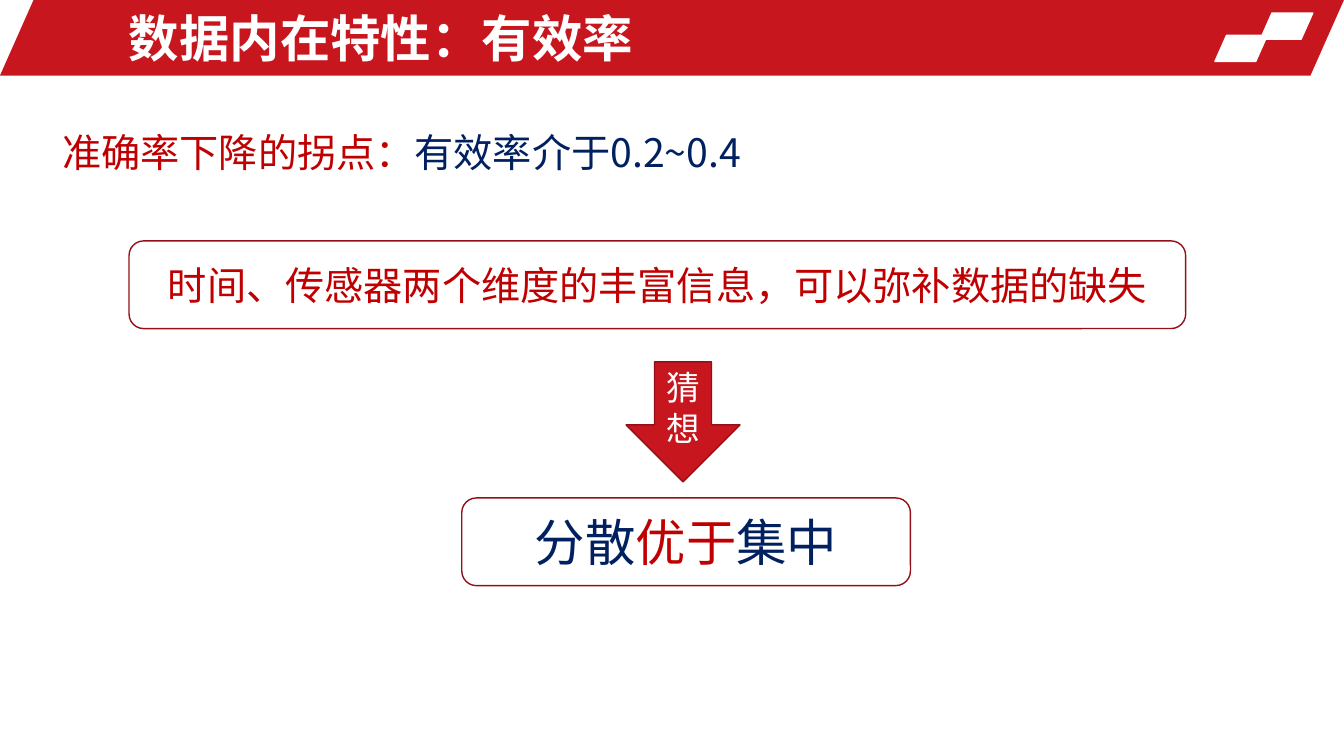
from lxml import etree
from pptx import Presentation
from pptx.dml.color import RGBColor
from pptx.enum.shapes import MSO_SHAPE as Preset
from pptx.enum.text import MSO_ANCHOR as Anchor, PP_ALIGN as Align
from pptx.oxml.ns import qn
from pptx.util import Inches, Pt

COLORS = {
    "red": "C8161E",
    "border": "941016",
    "crimson": "C00000",
    "navy": "002060",
    "white": "FFFFFF",
}
FONT = "Noto Sans CJK SC"


def add_preset(preset, box, fill=None, line=None):
    shape = slide.shapes.add_shape(preset, *map(Inches, box))
    shape.shadow.inherit = False
    for part, color in ((shape.fill, fill), (shape.line.fill, line)):
        if color:
            part.solid()
            part.fore_color.rgb = RGBColor.from_string(COLORS[color])
        else:
            part.background()
    if line:
        shape.line.width = Pt(1)
    return shape


def write_text(shape, runs, size, frame_format, paragraph_format, bold=False):
    frame = shape.text_frame
    paragraph = frame.paragraphs[0]
    for target, values in ((frame, frame_format), (paragraph, paragraph_format)):
        for name, value in values.items():
            setattr(target, name, value)
    for text, color in runs:
        run = paragraph.add_run()
        run.text = text
        run.font.color.rgb = RGBColor.from_string(COLORS[color])
        for name, value in {"size": Pt(size), "name": FONT, "bold": bold}.items():
            setattr(run.font, name, value)
        properties = run.font._element if hasattr(run.font, "_element") else run._r.get_or_add_rPr()
        etree.SubElement(properties, qn("a:ea"), typeface=FONT)


presentation = Presentation()
presentation.slide_width = Inches(13.33)
presentation.slide_height = Inches(7.5)
slide = presentation.slides.add_slide(presentation.slide_layouts[6])

for box, fill, line in (
    ((0, 0, 13.33, 0.75), "red", None),
    ((12.5, 0.13, 0.52, 0.26), "white", "white"),
    ((12.05, 0.35, 0.52, 0.26), "white", "white"),
):
    banner = add_preset(Preset.PARALLELOGRAM, box, fill, line)
    banner.adjustments[0] = 0.444

middle = {"word_wrap": True, "vertical_anchor": Anchor.MIDDLE}
top = {"word_wrap": True, "vertical_anchor": Anchor.TOP}
centered = {"alignment": Align.CENTER}

title = slide.shapes.add_textbox(*map(Inches, (1.18, 0.05, 7.74, 0.65)))
write_text(title, [("数据内在特性：有效率", "white")], 36, middle, {}, bold=True)

finding = slide.shapes.add_textbox(*map(Inches, (0.52, 0.99, 7.74, 0.73)))
finding_runs = [("准确率下降的拐点：", "crimson"), ("有效率介于0.2~0.4", "navy")]
write_text(finding, finding_runs, 28, top, {"line_spacing": 1.5})

for preset, box, fill, size, runs in (
    (Preset.ROUNDED_RECTANGLE, (1.28, 2.39, 10.48, 0.87), None, 28,
     [("时间、传感器两个维度的丰富信息，可以弥补数据的缺失", "crimson")]),
    (Preset.ROUNDED_RECTANGLE, (4.58, 4.94, 4.45, 0.87), None, 36,
     [("分散", "navy"), ("优于", "crimson"), ("集中", "navy")]),
    (Preset.DOWN_ARROW, (6.21, 3.59, 1.13, 1.19), "red", 24,
     [("猜想", "white")]),
):
    shape = add_preset(preset, box, fill, "border")
    write_text(shape, runs, size, middle, centered)

presentation.save("out.pptx")
